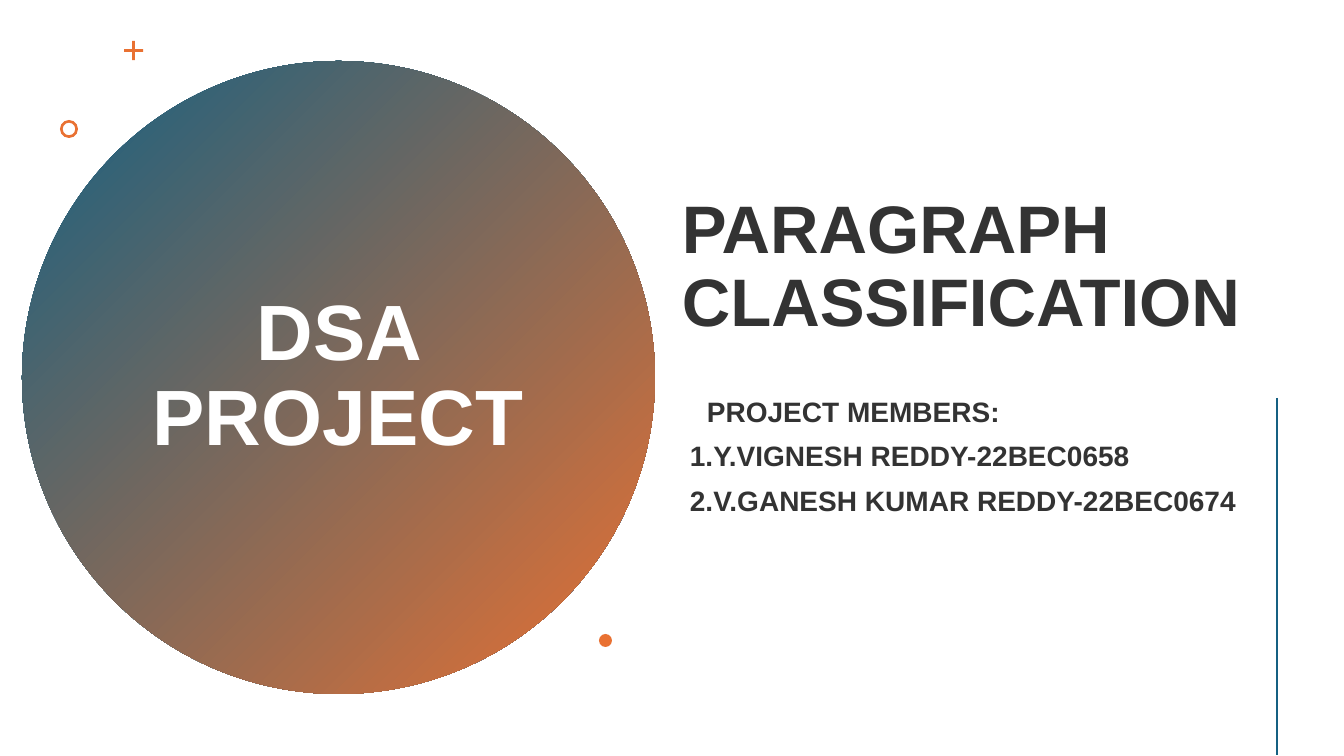
from pptx import Presentation
from pptx.dml.color import RGBColor
from pptx.enum.shapes import MSO_CONNECTOR, MSO_SHAPE as SHAPE
from pptx.enum.text import MSO_ANCHOR as ANCHOR, PP_ALIGN as ALIGN
from pptx.oxml.ns import qn
from pptx.util import Pt
from lxml import etree

PX = 12192000 / 1344
TEAL, ORANGE, WHITE, DARK = "156082", "E97132", "FFFFFF", "333333"


def px(n):
    """Turn pixels into EMU."""
    return round(n * PX)


def rgb(color):
    """Turn a hex string into a colour."""
    return RGBColor.from_string(color)


def add_shape(s, kind, box, color, adj=None):
    """Add a flat shape without outline."""
    sp = s.shapes.add_shape(kind, *map(px, box))
    sp.shadow.inherit = False
    sp.fill.solid()
    sp.fill.fore_color.rgb = rgb(color)
    sp.line.fill.background()
    if adj is not None:
        sp.adjustments[0] = adj
    return sp


def add_text_box(s, box):
    """Add a wrapping text box with centred anchor."""
    tf = s.shapes.add_textbox(*map(px, box)).text_frame
    tf.word_wrap = True
    tf.vertical_anchor = ANCHOR.MIDDLE
    return tf


def write(p, text, size, color):
    """Fill a paragraph with one bold run."""
    p.line_spacing = 0.9
    r = p.add_run()
    r.text = text
    r.font.name = "Arial"
    r.font.size = Pt(size)
    r.font.bold = True
    r.font.color.rgb = rgb(color)


def add_title_disc(s, x, y, d):
    """Draw the gradient disc, its title and the small ornaments."""
    disc = add_shape(s, SHAPE.OVAL, (x, y, d, d), TEAL)
    disc.fill.gradient()
    disc.fill.gradient_angle = 315
    for stop, color, pos in zip(disc.fill.gradient_stops, (TEAL, ORANGE), (0, 1)):
        stop.color.rgb = rgb(color)
        stop.position = pos
    tf = add_text_box(s, (x + 115, y + 81, 402, 471))
    p = tf.paragraphs[0]
    p.alignment = ALIGN.CENTER
    write(p, "DSA PROJECT", 56, WHITE)
    add_shape(s, SHAPE.CROSS, (x + 102, y - 20, 19, 19), ORANGE, 0.43)
    add_shape(s, SHAPE.DONUT, (x + 38, y + 59, 18, 18), ORANGE, 0.15)
    add_shape(s, SHAPE.OVAL, (x + 577, y + 573, 13, 13), ORANGE)


def add_project_text(s, x, y, w, h):
    """Write the topic and the project members."""
    tf = add_text_box(s, (x, y, w, h))
    lines = [
        ("PARAGRAPH CLASSIFICATION", 48, 0, 0),
        ("PROJECT MEMBERS:", 20, 41, 25),
        ("1.Y.VIGNESH REDDY-22BEC0658", 20, 10, 8),
        ("2.V.GANESH KUMAR REDDY-22BEC0674", 20, 10, 8),
    ]
    for i, (text, size, before, indent) in enumerate(lines):
        p = tf.add_paragraph() if i else tf.paragraphs[0]
        p.space_before = Pt(before)
        p._p.get_or_add_pPr().set("marL", str(px(indent)))
        write(p, text, size, DARK)


def add_side_line(s, x, top, bottom):
    """Draw the vertical line at the right."""
    line = s.shapes.add_connector(MSO_CONNECTOR.STRAIGHT, px(x), px(top), px(x), px(bottom))
    line.line.color.rgb = rgb(TEAL)
    line.line.width = Pt(2)
    etree.SubElement(line._element.spPr, qn("a:effectLst"))


def main():
    """Build the title slide."""
    prs = Presentation()
    prs.slide_width, prs.slide_height = px(1344), px(756)
    s = prs.slides.add_slide(prs.slide_layouts[6])
    add_title_disc(s, 22, 61, 633)
    add_project_text(s, 672, 57, 655, 599)
    add_side_line(s, 1277, 398, 755)
    prs.save("out.pptx")


if __name__ == "__main__":
    main()
